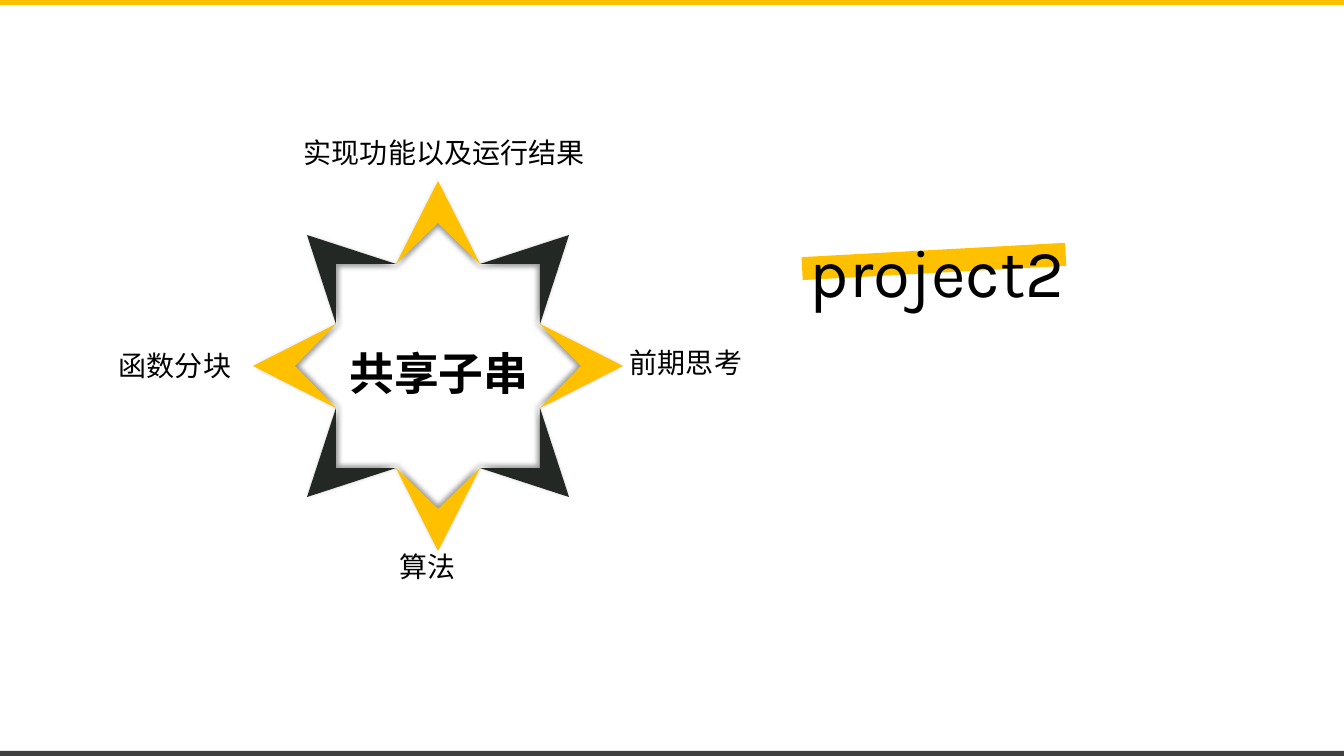
from dataclasses import dataclass

from lxml import etree
from pptx import Presentation
from pptx.dml.color import RGBColor
from pptx.enum import shapes, text
from pptx.oxml import ns
from pptx.util import Emu, Pt

EMU_PER_PX = 914400 / 100.8
SLIDE_W, SLIDE_H = 1344, 756
STAR_CENTER = (438, 366)
# Each point of the star, relative to its center, before quarter turns
GOLD_POINT = [(-42, -102), (0, -185), (42, -102), (0, -143)]
DARK_POINT = [(-102, -42), (-131, -131), (-42, -102), (-102, -102)]


@dataclass(frozen=True)
class Theme:
    gold: str = "FFC000"
    dark: str = "232825"
    footer: str = "404040"
    ink: str = "000000"
    latin: str = "Karla"
    chinese: str = "Noto Sans CJK SC"
    label_size: int = 20
    topic_size: int = 32
    title_size: int = 48


THEME = Theme()


def px(length):
    return Emu(round(length * EMU_PER_PX))


def paint(shape, color):
    shape.fill.solid()
    shape.fill.fore_color.rgb = RGBColor.from_string(color)
    shape.line.fill.background()
    shape.shadow.inherit = False


def add_inner_shadow(shape, angle):
    effects = shape._element.spPr.find(ns.qn("a:effectLst"))
    shadow = etree.SubElement(
        effects, ns.qn("a:outerShdw"), blurRad=str(Pt(4)), dist=str(Pt(3)),
        dir=str(angle * 60000), algn="ctr", rotWithShape="0")
    tone = etree.SubElement(shadow, ns.qn("a:srgbClr"), val=THEME.ink)
    etree.SubElement(tone, ns.qn("a:alpha"), val="40000")


def add_star_points(slide, outline, color, shadow_angle):
    """Draw one outline four times, a quarter turn apart, shaded to the center."""
    center_x, center_y = STAR_CENTER
    for turn in range(4):
        corners = [(center_x + x, center_y + y) for x, y in outline]
        builder = slide.shapes.build_freeform(*corners[0], scale=EMU_PER_PX)
        builder.add_line_segments(corners[1:], close=True)
        point = builder.convert_to_shape()
        paint(point, color)
        add_inner_shadow(point, shadow_angle + 90 * turn)
        outline = [(-y, x) for x, y in outline]


def add_bar(slide, left, top, width, height, color, rotation=0):
    bar = slide.shapes.add_shape(
        shapes.MSO_SHAPE.RECTANGLE, px(left), px(top), px(width), px(height))
    paint(bar, color)
    bar.rotation = rotation


def add_text(slide, wording, left, top, width, height, size,
             font=THEME.latin, align=None, bold=False, wrap=False):
    frame = slide.shapes.add_textbox(
        px(left), px(top), px(width), px(height)).text_frame
    frame.word_wrap = wrap
    frame.auto_size = text.MSO_AUTO_SIZE.SHAPE_TO_FIT_TEXT
    frame.text = wording
    paragraph = frame.paragraphs[0]
    paragraph.alignment = align
    run = paragraph.runs[0]
    run.font.size = Pt(size)
    run.font.bold = bold
    run.font.name = font
    run.font.color.rgb = RGBColor.from_string(THEME.ink)
    etree.SubElement(run.font._element, ns.qn("a:ea"), typeface=THEME.chinese)


def main():
    deck = Presentation()
    deck.slide_width, deck.slide_height = px(SLIDE_W), px(SLIDE_H)
    slide = deck.slides.add_slide(deck.slide_layouts[6])

    add_star_points(slide, GOLD_POINT, THEME.gold, shadow_angle=90)
    add_star_points(slide, DARK_POINT, THEME.dark, shadow_angle=45)

    add_text(slide, "共享子串", 338, 341, 202, 64, THEME.topic_size,
             THEME.chinese, text.PP_ALIGN.CENTER, bold=True)
    for wording, left, top, width, font in [
        ("实现功能以及运行结果", 294, 131, 303, THEME.chinese),
        ("前期思考", 620, 341, 133, THEME.latin),
        ("算法", 390, 545, 77, THEME.latin),
        ("函数分块", 109, 344, 133, THEME.latin),
    ]:
        add_text(slide, wording, left, top, width, 44, THEME.label_size, font)

    add_bar(slide, 0, 0, SLIDE_W, 5, THEME.gold)
    add_bar(slide, 0, SLIDE_H - 5, SLIDE_W, 5, THEME.footer)

    add_bar(slide, 802, 250, 264, 23, THEME.gold, rotation=356.9)
    add_text(slide, "project2", 800, 225, 302, 92, THEME.title_size,
             align=text.PP_ALIGN.JUSTIFY, wrap=True)

    deck.save("out.pptx")


if __name__ == "__main__":
    main()
